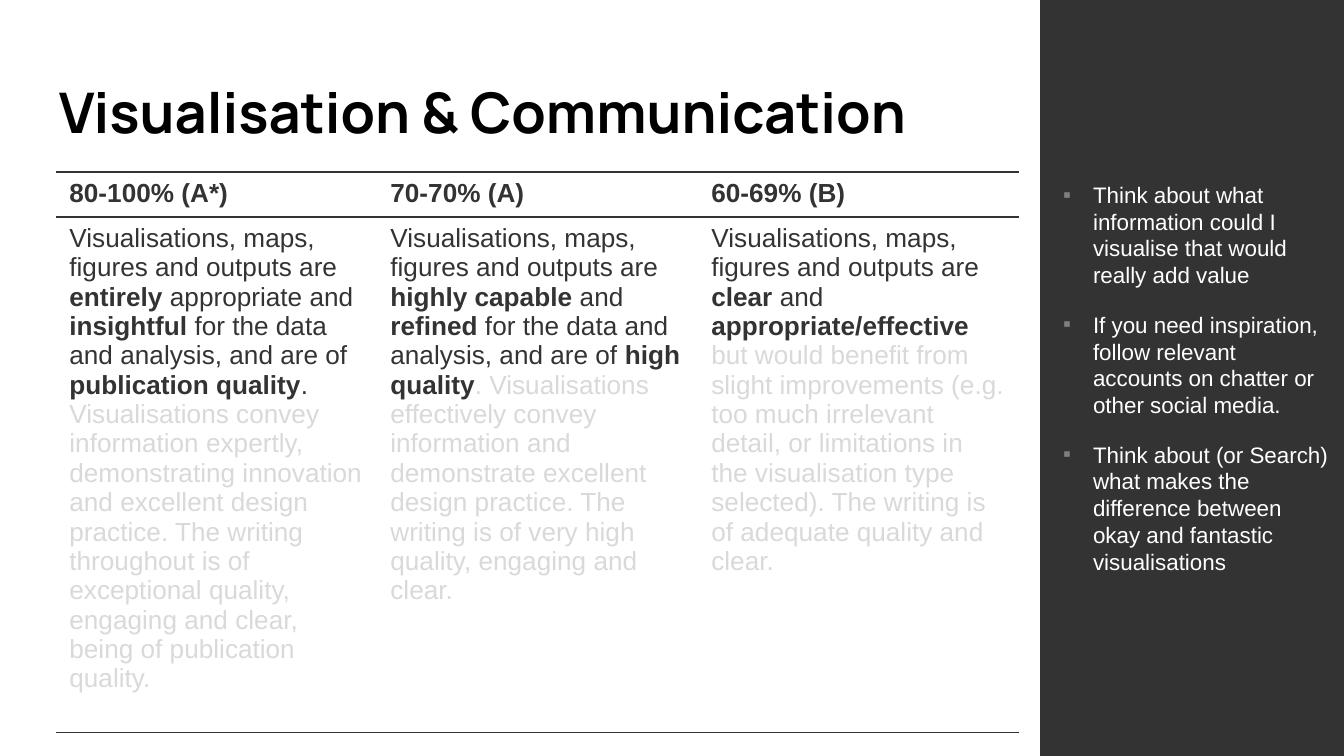
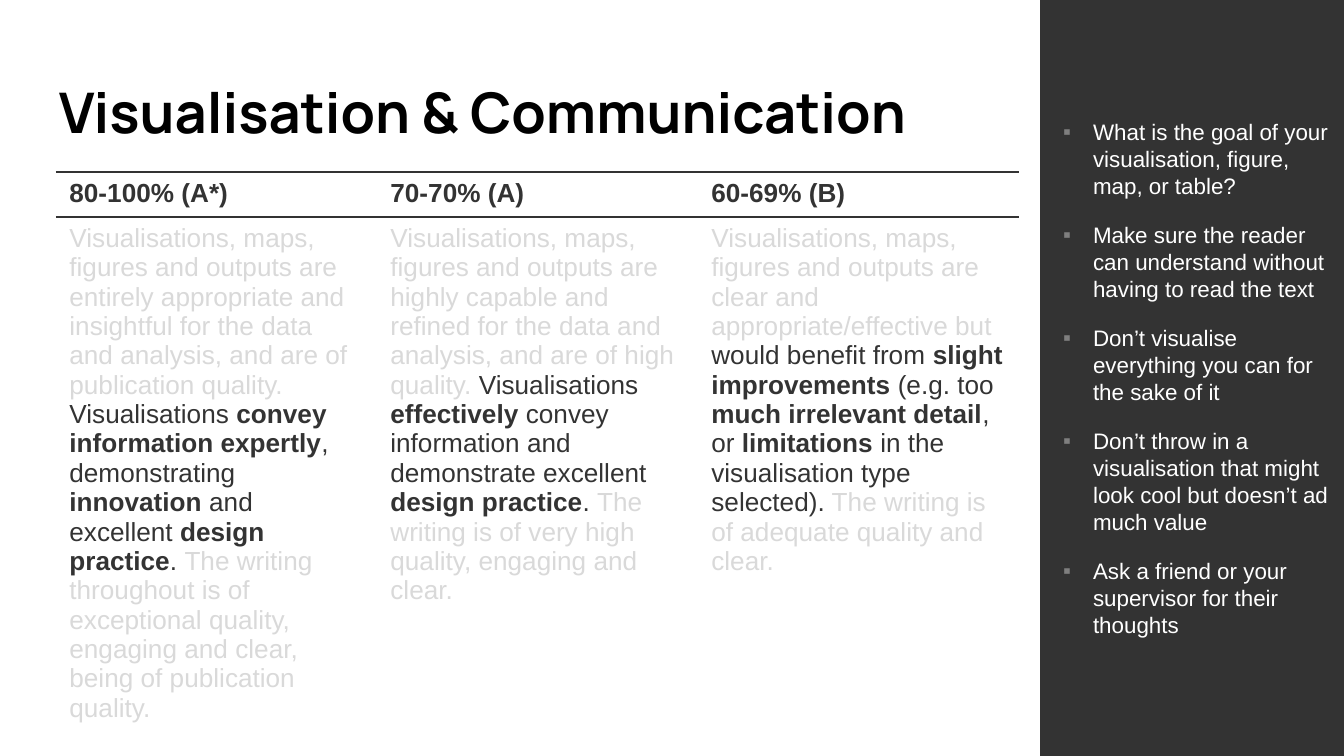
from lxml.etree import SubElement
from pptx import Presentation
from pptx.dml.color import RGBColor
from pptx.enum.shapes import MSO_SHAPE
from pptx.enum.text import MSO_ANCHOR, PP_ALIGN
from pptx.oxml.ns import qn
from pptx.util import Pt

SLIDE_W, SLIDE_H = 1344, 756
SCALE = 9144000 / SLIDE_W
DARK, FADED, WHITE, BLACK, BULLET = "333333", "D9D9D9", "FFFFFF", "000000", "7F7F7F"
TITLE_FONT = {"name": "Manrope", "size": Pt(30), "bold": True}
CELL_FONT = {"name": "Arial", "size": Pt(14)}
TIP_FONT = {"name": "Arial", "size": Pt(12), "bold": False}
NO_STYLE = "{2D5ABB26-0587-4C30-8999-92F81FD0307C}"

TITLE = "Visualisation & Communication"
TITLE_BOX = (46, 66, 1252, 91)
TABLE_BOX = (56, 172, 963, 528)
SIDEBAR_BOX = (1040, 0, 304, SLIDE_H)
HEADER_H = 44
GRADES = ["**80-100% (A*)**", "**70-70% (A)**", "**60-69% (B)**"]

# ** toggles bold, ~ toggles faded text
SLIDES = [
    (
        [
            "Visualisations, maps, figures and outputs are **entirely** appropriate and "
            "**insightful** for the data and analysis, and are of **publication quality**. "
            "~Visualisations convey information expertly, demonstrating innovation and "
            "excellent design practice. The writing throughout is of exceptional quality, "
            "engaging and clear, being of publication quality.~",
            "Visualisations, maps, figures and outputs are **highly capable **and "
            "**refined** for the data and analysis, and are of **high quality**~. "
            "Visualisations effectively convey information and demonstrate excellent design "
            "practice. The writing is of very high quality, engaging and clear.~",
            "Visualisations, maps, figures and outputs are **clear** and "
            "**appropriate/effective **~but would benefit from slight improvements (e.g. too "
            "much irrelevant detail, or limitations in the visualisation type selected). "
            "The writing is of adequate quality and clear.~",
        ],
        [
            "Think about what information could I visualise that would really add value",
            "If you need inspiration, follow relevant accounts on chatter or other social media.",
            "Think about (or Search) what makes the difference between okay and fantastic "
            "visualisations",
        ],
    ),
    (
        [
            "~Visualisations, maps, figures and outputs are entirely appropriate and "
            "insightful for the data and analysis, and are of publication quality. ~"
            "Visualisations** convey information expertly**, demonstrating **innovation** "
            "and excellent **design practice**. ~The writing throughout is of exceptional "
            "quality, engaging and clear, being of publication quality.~",
            "~Visualisations, maps, figures and outputs are highly capable and refined for "
            "the data and analysis, and are of high quality. ~Visualisations **effectively** "
            "convey information and demonstrate excellent **design practice**. ~The writing "
            "is of very high quality, engaging and clear.~",
            "~Visualisations, maps, figures and outputs are clear and appropriate/effective "
            "but ~would benefit from **slight improvements** (e.g. too **much irrelevant "
            "detail**, or **limitations** in the visualisation type selected).~ The writing "
            "is of adequate quality and clear.~",
        ],
        [
            "What is the goal of your visualisation, figure, map, or table?",
            "Make sure the reader can understand without having to read the text",
            "Don’t visualise everything you can for the sake of it",
            "Don’t throw in a visualisation that might look cool but doesn’t ad much value",
            "Ask a friend or your supervisor for their thoughts",
        ],
    ),
]


def px(n):
    return round(n * SCALE)


def rgb(color):
    return RGBColor.from_string(color)


def set_all(obj, values):
    for name, value in values.items():
        setattr(obj, name, value)


def add_run(p, text, font, color):
    r = p.add_run()
    r.text = text
    set_all(r.font, font)
    r.font.color.rgb = rgb(color)


def set_frame(tf, left, top, right, bottom):
    set_all(tf, {
        "word_wrap": True, "vertical_anchor": MSO_ANCHOR.MIDDLE,
        "margin_left": px(left), "margin_top": px(top),
        "margin_right": px(right), "margin_bottom": px(bottom),
    })


def add_title(s, box):
    tf = s.shapes.add_textbox(*map(px, box)).text_frame
    set_frame(tf, 13, 13, 13, 13)
    add_run(tf.paragraphs[0], TITLE, TITLE_FONT, BLACK)


def add_marked_text(p, text):
    for i, part in enumerate(text.split("~")):
        for j, piece in enumerate(part.split("**")):
            if piece:
                add_run(p, piece, {**CELL_FONT, "bold": j % 2 == 1}, FADED if i % 2 else DARK)


def set_borders(cell, sides):
    tcPr = cell._tc.get_or_add_tcPr()
    for side in sides:
        ln = SubElement(tcPr, qn(f"a:ln{side}"), w=str(Pt(1)))
        fill = SubElement(ln, qn("a:solidFill"))
        SubElement(fill, qn("a:srgbClr"), val=DARK)


def add_grade_table(s, box, descriptions):
    rows = [GRADES, descriptions]
    table = s.shapes.add_table(len(rows), len(GRADES), *map(px, box)).table
    set_all(table, {"first_row": False, "horz_banding": False})
    table._tbl.tblPr.find(qn("a:tableStyleId")).text = NO_STYLE
    for col in table.columns:
        col.width = px(box[2] / len(GRADES))
    for row, height in zip(table.rows, (HEADER_H, box[3] - HEADER_H)):
        row.height = px(height)
    for i, texts in enumerate(rows):
        for j, text in enumerate(texts):
            cell = table.cell(i, j)
            add_marked_text(cell.text_frame.paragraphs[0], text)
            set_borders(cell, "TB")
            cell.fill.background()


def add_bullet(p):
    pPr = p._p.get_or_add_pPr()
    pPr.set("marL", str(px(42)))
    pPr.set("indent", str(px(-30)))
    color = SubElement(pPr, qn("a:buClr"))
    SubElement(color, qn("a:srgbClr"), val=BULLET)
    SubElement(pPr, qn("a:buFont"), typeface="Arial")
    SubElement(pPr, qn("a:buChar"), char="▪")


def add_sidebar(s, box, tips):
    sp = s.shapes.add_shape(MSO_SHAPE.RECTANGLE, *map(px, box))
    sp.shadow.inherit = False
    sp.fill.solid()
    sp.fill.fore_color.rgb = rgb(DARK)
    sp.line.fill.background()
    tf = sp.text_frame
    set_frame(tf, 11, 7, 13, 7)
    for i, tip in enumerate(tips):
        p = tf.add_paragraph() if i else tf.paragraphs[0]
        set_all(p, {"alignment": PP_ALIGN.LEFT, "space_after": Pt(12)})
        add_bullet(p)
        add_run(p, tip, TIP_FONT, WHITE)


def add_rubric_slide(prs, descriptions, tips):
    s = prs.slides.add_slide(prs.slide_layouts[6])
    add_title(s, TITLE_BOX)
    add_grade_table(s, TABLE_BOX, descriptions)
    add_sidebar(s, SIDEBAR_BOX, tips)


def main():
    prs = Presentation()
    set_all(prs, {"slide_width": px(SLIDE_W), "slide_height": px(SLIDE_H)})
    for descriptions, tips in SLIDES:
        add_rubric_slide(prs, descriptions, tips)
    prs.save("out.pptx")


if __name__ == "__main__":
    main()
